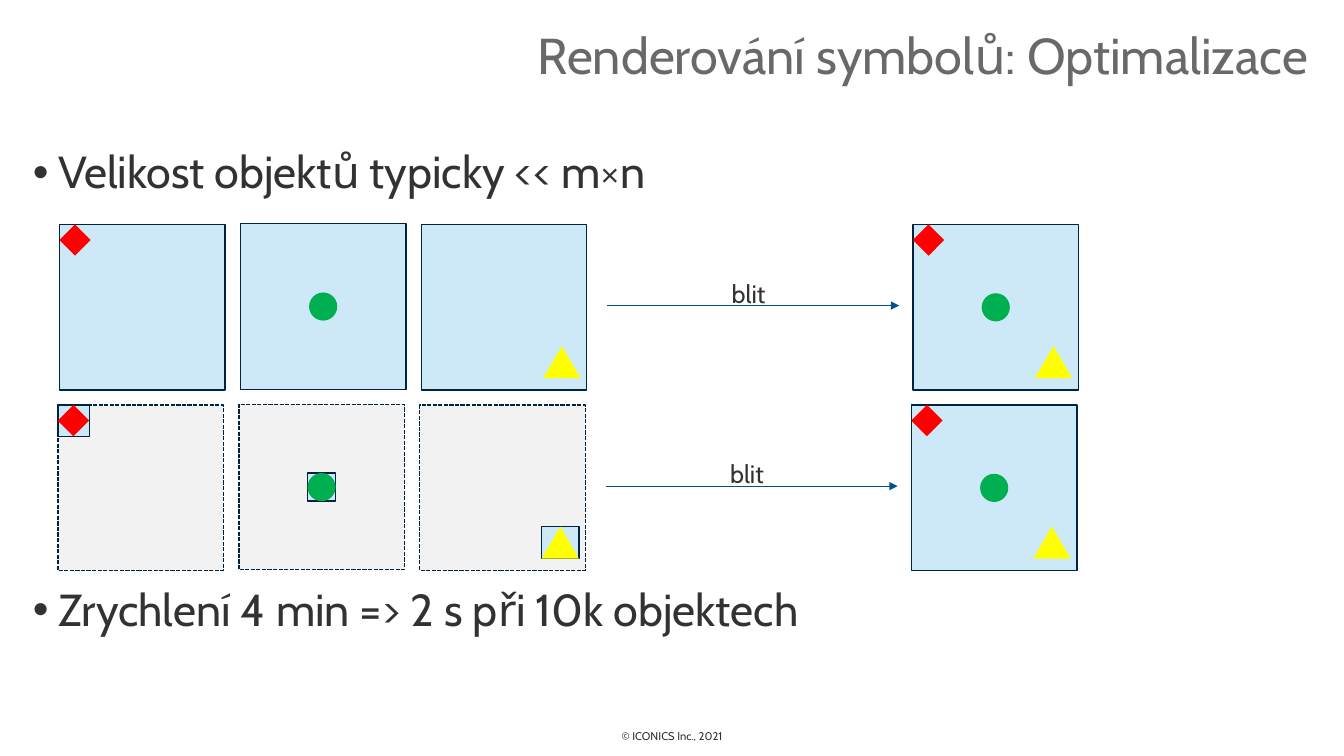
"""Build the slide on optimising symbol rendering."""
import pptx
import pptx.dml.color
import pptx.enum.dml
import pptx.enum.shapes
import pptx.enum.text
import pptx.oxml
import pptx.oxml.ns
import pptx.util

Cm = pptx.util.Cm
Pt = pptx.util.Pt
KIND = pptx.enum.shapes.MSO_SHAPE
ALIGN = pptx.enum.text.PP_ALIGN
ANCHOR = pptx.enum.text.MSO_ANCHOR

FONT = "Cabin"
INK = "323232"
PALE_BLUE = "CDE9F8"
PALE_GREY = "F2F2F2"
NAVY = "00243D"
ARROW_BLUE = "00528B"
TILE = 4.17
TILE_PITCH = 4.56
RESULT_OFFSET = 21.51
FULL_ROW = (1.5, 5.66)
CROPPED_ROW = (1.46, 10.21)

SYMBOLS = [
    {"kind": KIND.RECTANGLE, "place": (0.11, 0.11, 0.56, 0.56),
     "bounds": (0, 0, 0.79, 0.79), "fill": "FF0000", "rotation": 45, "rise": 0},
    {"kind": KIND.OVAL, "place": (1.73, 1.73, 0.71, 0.71),
     "bounds": (1.73, 1.73, 0.71, 0.71), "fill": "00B050", "rotation": 0, "rise": 0.02},
    {"kind": KIND.ISOSCELES_TRIANGLE, "place": (3.07, 3.06, 0.94, 0.81),
     "bounds": (3.07, 3.06, 0.94, 0.81), "fill": "FFFF00", "rotation": 0, "rise": 0},
]


def colour(value):
    """Turn a hex string into a colour."""
    return pptx.dml.color.RGBColor.from_string(value)


def apply_format(target, values):
    """Set each attribute of the target from a dict."""
    for name, value in values.items():
        setattr(target, name, value)


def add_xml(parent, tag, **attributes):
    """Append a drawing element to the parent."""
    element = pptx.oxml.parse_xml(f"<a:{tag} {pptx.oxml.ns.nsdecls('a')}/>")
    for name, value in attributes.items():
        element.set(name, value)
    parent.append(element)


def add_text(page, place, lines, size, ink=INK, frame_format=None, para_format=None,
             bulleted=False, gap=0):
    """Add a text box with one paragraph per line."""
    box = page.shapes.add_textbox(*map(Cm, place))
    apply_format(box.text_frame, {"word_wrap": True, **(frame_format or {})})
    for index, line in enumerate(lines):
        para = box.text_frame.add_paragraph() if index else box.text_frame.paragraphs[0]
        if bulleted:
            properties = para._p.get_or_add_pPr()
            properties.set("marL", str(Cm(0.635)))
            properties.set("indent", str(-Cm(0.635)))
            add_xml(properties, "buFont", typeface="Arial")
            add_xml(properties, "buChar", char="•")
        apply_format(para, para_format or {})
        if index:
            para.space_before = Pt(gap)
        span = para.add_run()
        span.text = line
        apply_format(span.font, {"name": FONT, "size": Pt(size)})
        span.font.color.rgb = colour(ink)


def add_figure(page, kind, place, fill, outline=None, dash=None, rotation=0):
    """Add a filled preset shape with an optional outline."""
    shape = page.shapes.add_shape(kind, *map(Cm, place))
    shape.shadow.inherit = False
    shape.rotation = rotation
    shape.fill.solid()
    shape.fill.fore_color.rgb = colour(fill)
    if outline is None:
        shape.line.fill.background()
        return
    shape.line.color.rgb = colour(outline)
    apply_format(shape.line, {"width": Pt(1), "dash_style": dash})


def add_tile(page, left, top, fill=PALE_BLUE, dash=None):
    """Add one square canvas."""
    add_figure(page, KIND.RECTANGLE, (left, top, TILE, TILE), fill, NAVY, dash)


def add_symbol(page, symbol, left, top, bounded=False):
    """Add a symbol within a tile, on its bounding box if asked."""
    def shifted(place):
        """Move a place from tile to page coordinates."""
        return (left + place[0], top + place[1], *place[2:])

    if bounded:
        add_figure(page, KIND.RECTANGLE, shifted(symbol["bounds"]), PALE_BLUE, NAVY)
    add_figure(page, symbol["kind"], shifted(symbol["place"]), symbol["fill"],
               rotation=symbol["rotation"])


def add_arrow(page, start, end, height):
    """Add a level arrow."""
    arrow = page.shapes.add_connector(pptx.enum.shapes.MSO_CONNECTOR.STRAIGHT,
                                      Cm(start), Cm(height), Cm(end), Cm(height))
    arrow.line.color.rgb = colour(ARROW_BLUE)
    arrow.line.width = Pt(0.5)
    add_xml(arrow.line._get_or_add_ln(), "tailEnd", type="triangle")
    add_xml(arrow._element.spPr, "effectLst")


def add_blit_row(page, left, top, cropped):
    """Add three source tiles, the blit arrow and the merged tile."""
    fill = PALE_GREY if cropped else PALE_BLUE
    dash = pptx.enum.dml.MSO_LINE.SQUARE_DOT if cropped else None
    result_left = left + RESULT_OFFSET
    add_tile(page, result_left, top)
    for index, symbol in enumerate(SYMBOLS):
        tile_left = left + index * TILE_PITCH
        tile_top = top - symbol["rise"]
        add_tile(page, tile_left, tile_top, fill, dash)
        add_symbol(page, symbol, tile_left, tile_top, cropped)
        add_symbol(page, symbol, result_left, top)
    add_arrow(page, left + 13.8, left + 21.16, top + 2.04)
    add_text(page, (left + 16.69, top + 1.22, 1.42, 1.02), ["blit"], 18,
             frame_format={"word_wrap": False})


def main():
    """Build and save the deck."""
    deck = pptx.Presentation()
    apply_format(deck, {"slide_width": Cm(33.87), "slide_height": Cm(19.05)})
    page = deck.slides.add_slide(deck.slide_layouts[6])
    add_text(page, (11.2, 18.26, 11.48, 0.61), ["© ICONICS Inc., 2021"], 8,
             para_format={"alignment": ALIGN.CENTER})
    add_text(page, (4.57, 0.41, 28.65, 2.13), ["Renderování symbolů: Optimalizace"], 36,
             "696969", {"vertical_anchor": ANCHOR.MIDDLE},
             {"alignment": ALIGN.RIGHT, "line_spacing": 0.9})
    add_text(page, (0.58, 3.66, 32.64, 14.38),
             ["Velikost objektů typicky << m×n", "Zrychlení 4 min => 2 s při 10k objektech"],
             32, para_format={"line_spacing": 0.9}, bulleted=True, gap=278)
    add_blit_row(page, *FULL_ROW, cropped=False)
    add_blit_row(page, *CROPPED_ROW, cropped=True)
    deck.save("out.pptx")


if __name__ == "__main__":
    main()
